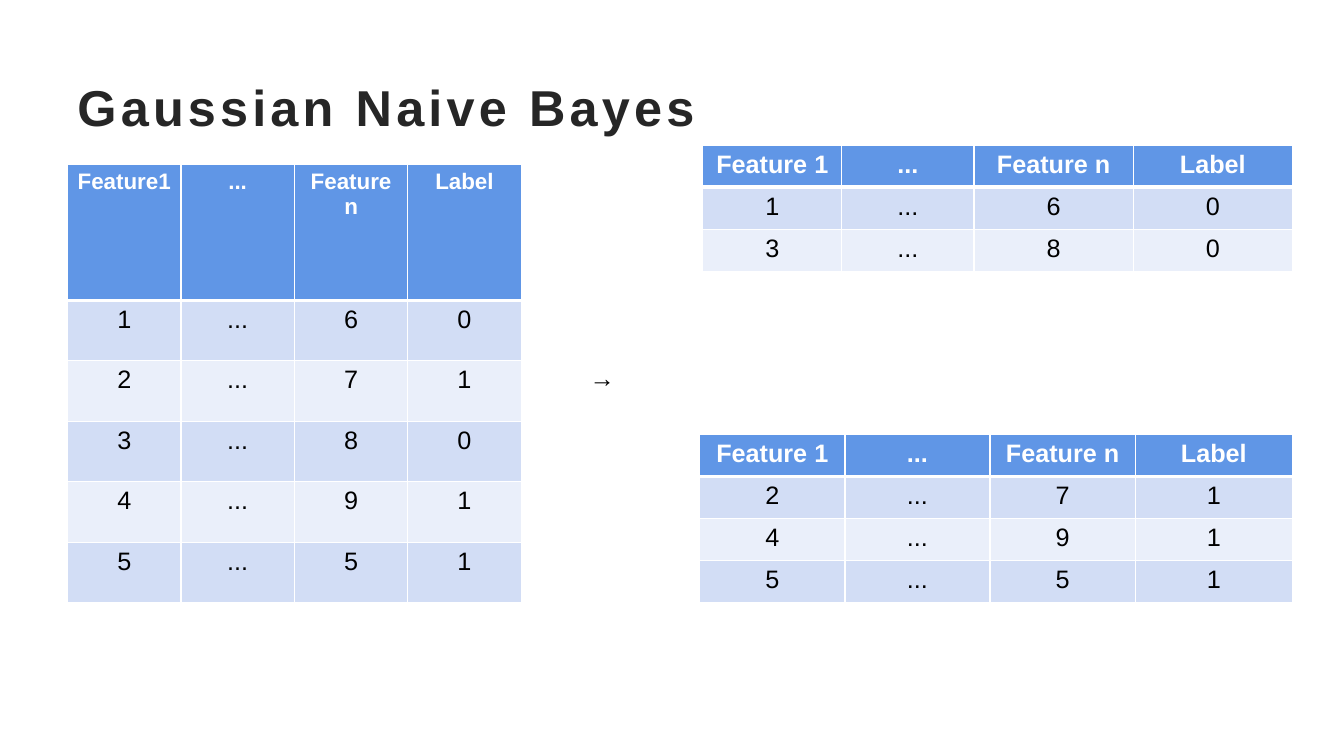
import pptx
import pptx.dml.color
import pptx.enum.text
import pptx.oxml
import pptx.oxml.ns
import pptx.util

Inches = pptx.util.Inches
Pt = pptx.util.Pt
ALIGN = pptx.enum.text.PP_ALIGN
ANCHOR = pptx.enum.text.MSO_ANCHOR

COLORS = {
    "title": "262626",
    "ink": "000000",
    "white": "FFFFFF",
    "head": "6096E6",
    "odd": "D2DDF5",
    "even": "EAEFFA",
}
# One sample: first feature, last feature, label
SAMPLES = [(1, 6, 0), (2, 7, 1), (3, 8, 0), (4, 9, 1), (5, 5, 1)]


def rgb(name):
    return pptx.dml.color.RGBColor.from_string(COLORS[name])


def write(frame, text, size=18, color="ink", bold=False, align=ALIGN.LEFT, space=0):
    """Put text in the frame; space is the letter spacing in points."""
    par = frame.paragraphs[0]
    par.alignment = align
    run = par.add_run()
    run.text = text
    run.font.name = "Arial"
    run.font.size = Pt(size)
    run.font.bold = bold
    run.font.color.rgb = rgb(color)
    if space:
        run.font._element.set("spc", str(space * 100))


def label(slide, box, text, anchor=ANCHOR.TOP, **style):
    shape = slide.shapes.add_textbox(*map(Inches, box))
    frame = shape.text_frame
    frame.word_wrap = True
    frame.vertical_anchor = anchor
    write(frame, text, **style)


def edge(cell, side, width):
    """Draw a white border on one side: L, R, T or B."""
    line = pptx.oxml.parse_xml(
        f'<a:ln{side} {pptx.oxml.ns.nsdecls("a")} w="{Pt(width)}">'
        f'<a:solidFill><a:srgbClr val="{COLORS["white"]}"/></a:solidFill>'
        f'</a:ln{side}>'
    )
    cell._tc.get_or_add_tcPr().append(line)


def paint(cell, row):
    """Set the borders and the band colour of a cell in the given row."""
    thick = {0: "B", 1: "T"}.get(row)
    for side in "LRTB":
        edge(cell, side, 3 if side == thick else 1)
    band = "head" if row == 0 else "odd" if row % 2 else "even"
    cell.fill.solid()
    cell.fill.fore_color.rgb = rgb(band)


def grid(slide, left, top, cols, rows, first, samples, size=18):
    """Add a table of samples; first heads column one, size is for the header."""
    data = [[first, "...", "Feature n", "Label"]]
    data += [[str(x), "...", str(y), str(z)] for x, y, z in samples]
    box = map(Inches, (left, top, sum(cols), sum(rows)))
    table = slide.shapes.add_table(len(rows), len(cols), *box).table
    for col, width in zip(table.columns, cols):
        col.width = Inches(width)
    for r, texts in enumerate(data):
        table.rows[r].height = Inches(rows[r])
        style = {"size": size, "color": "white", "bold": True} if r == 0 else {}
        for c, text in enumerate(texts):
            cell = table.cell(r, c)
            paint(cell, r)
            write(cell.text_frame, text, align=ALIGN.CENTER, **style)


def main():
    deck = pptx.Presentation()
    deck.slide_width = Inches(13.33)
    deck.slide_height = Inches(7.5)
    slide = deck.slides.add_slide(deck.slide_layouts[6])

    label(slide, (0.67, 0.67, 12, 0.77), "Gaussian Naive Bayes",
          anchor=ANCHOR.MIDDLE, size=36, color="title", bold=True, space=3)

    zeros = [s for s in SAMPLES if s[2] == 0]
    ones = [s for s in SAMPLES if s[2] == 1]
    grid(slide, 0.67, 1.63, [4.5 / 4] * 4, [1.35] + [0.6] * 5,
         "Feature1", SAMPLES, size=16)
    grid(slide, 6.97, 1.44, [1.38, 1.31, 1.58, 1.58], [1.25 / 3] * 3,
         "Feature 1", zeros)
    grid(slide, 6.94, 4.31, [1.44, 1.44, 1.44, 1.56], [1.67 / 4] * 4,
         "Feature 1", ones)

    label(slide, (5.75, 3.55, 0.5, 0.4), "→", bold=True)
    deck.save("out.pptx")


if __name__ == "__main__":
    main()
